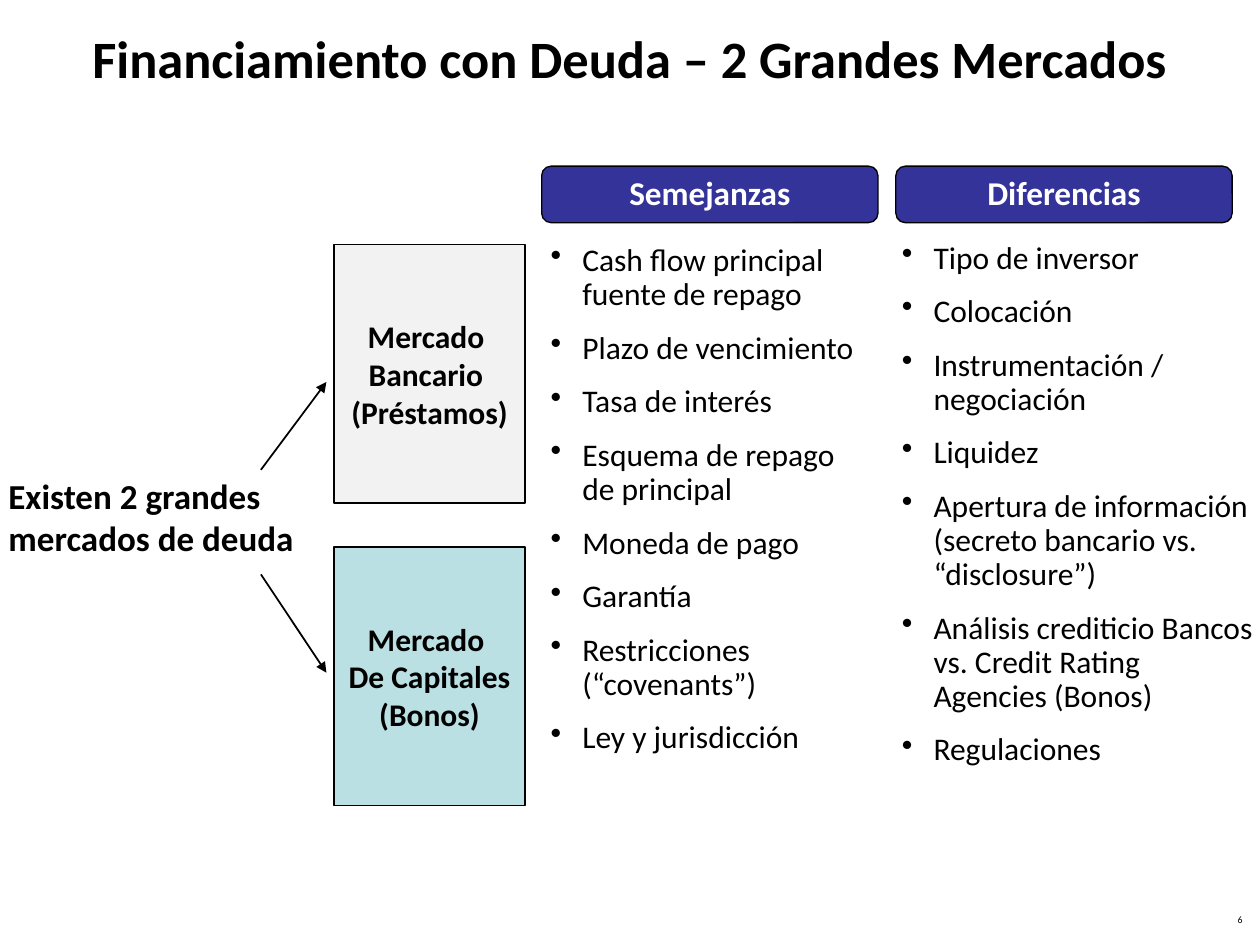
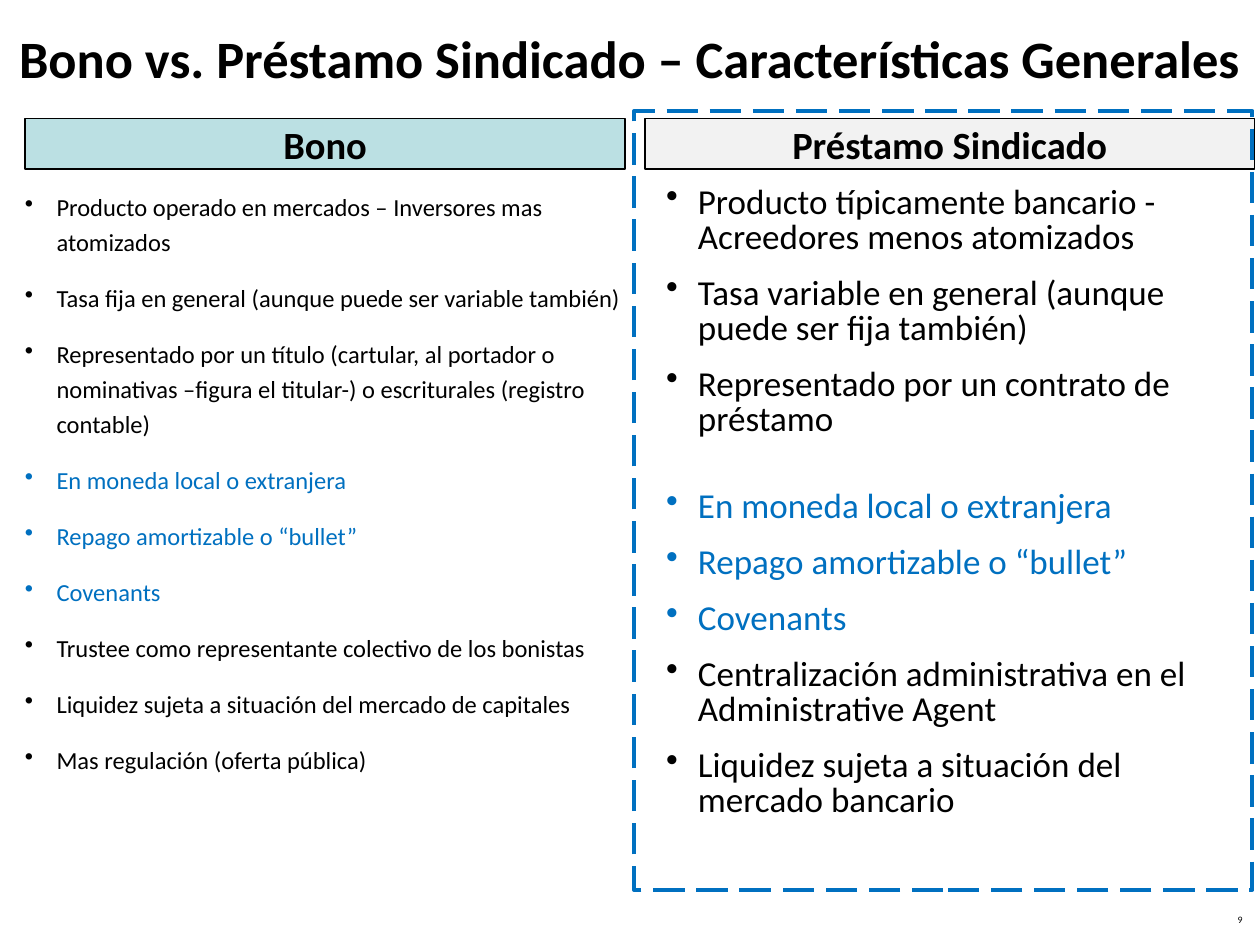
from lxml.etree import SubElement
from pptx import Presentation
from pptx.dml.color import RGBColor
from pptx.enum.dml import MSO_LINE
from pptx.enum.shapes import MSO_CONNECTOR, MSO_SHAPE
from pptx.enum.text import MSO_ANCHOR, MSO_AUTO_SIZE, PP_ALIGN
from pptx.oxml.ns import qn
from pptx.util import Cm, Pt

BLACK = RGBColor(0x00, 0x00, 0x00)
WHITE = RGBColor(0xFF, 0xFF, 0xFF)
BANK_GREY = RGBColor(0xF2, 0xF2, 0xF2)
BOND_TEAL = RGBColor(0xBB, 0xE0, 0xE3)
HEADER_INDIGO = RGBColor(0x33, 0x33, 0x99)
SHARED_BLUE = RGBColor(0x00, 0x70, 0xC0)

FONT = "Calibri"
SLIDE_WIDTH, SLIDE_HEIGHT = 25.4, 19.05
BULLET_INDENT = 0.64

# Slide 1 content
MARKETS_TITLE = "Financiamiento con Deuda – 2 Grandes Mercados"
MARKETS_INTRO = "Existen 2 grandes mercados de deuda"
MARKETS = [
    (["Mercado ", "Bancario ", "(Préstamos)"], BANK_GREY),
    (["Mercado ", "De Capitales", "(Bonos)"], BOND_TEAL),
]
ARROWS = [((5.26, 9.47), (6.58, 7.7)), ((5.26, 11.58), (6.58, 13.56))]
# Header, box of its bullets, bullets
COMPARISONS = [
    ("Semejanzas", (10.85, 4.8, 6.96, 12.4), [
        "Cash flow principal fuente de repago",
        "Plazo de vencimiento",
        "Tasa de interés",
        "Esquema de repago de principal",
        "Moneda de pago",
        "Garantía",
        "Restricciones (“covenants”)",
        "Ley y jurisdicción",
    ]),
    ("Diferencias", (17.93, 4.75, 7.7, 12.4), [
        "Tipo de inversor",
        "Colocación",
        "Instrumentación / negociación",
        "Liquidez",
        "Apertura de información (secreto bancario vs. “disclosure”)",
        "Análisis crediticio Bancos vs. Credit Rating Agencies (Bonos)",
        "Regulaciones",
    ]),
]

# Slide 2 content
INSTRUMENTS_TITLE = "Bono vs. Préstamo Sindicado – Características Generales"
SHARED_TRAITS = ["En moneda local o extranjera", "Repago amortizable o “bullet”", "Covenants"]
INSTRUMENTS = [
    {
        "name": "Bono", "fill": BOND_TEAL, "header": (0.51, 2.39, 12.09, 1.02),
        "body": (0.25, 3.63, 12.83, 11.4), "size": 14, "space_before_shared": 12,
        "before": [
            "Producto operado en mercados – Inversores mas atomizados",
            "Tasa fija en general (aunque puede ser variable también)",
            "Representado por un título (cartular, al portador o nominativas "
            "–figura el titular-) o escriturales (registro contable)",
        ],
        "after": [
            "Trustee como representante colectivo de los bonistas",
            "Liquidez sujeta a situación del mercado de capitales",
            "Mas regulación (oferta pública)",
        ],
    },
    {
        "name": "Préstamo Sindicado", "fill": BANK_GREY, "header": (13, 2.39, 12.29, 1.02),
        "body": (13.18, 3.63, 12.32, 12.95), "size": 20, "space_before_shared": 30,
        "before": [
            "Producto típicamente bancario - Acreedores menos atomizados",
            "Tasa variable en general (aunque puede ser fija también)",
            "Representado por un contrato de préstamo",
        ],
        "after": [
            "Centralización administrativa en el Administrative Agent",
            "Liquidez sujeta a situación del mercado bancario",
        ],
    },
]
LOAN_FRAME = (12.78, 2.24, 12.47, 15.7)


def lengths(box):
    return [Cm(value) for value in box]


def add_run(paragraph, text, size, color=BLACK, bold=False):
    run = paragraph.add_run()
    run.text = text
    run.font.name = FONT
    run.font.size = Pt(size)
    run.font.bold = bold
    run.font.color.rgb = color


def write_lines(frame, lines, size, color=BLACK, bold=True, align=PP_ALIGN.CENTER, spacing=None):
    for index, line in enumerate(lines):
        paragraph = frame.paragraphs[0] if index == 0 else frame.add_paragraph()
        paragraph.alignment = align
        paragraph.line_spacing = spacing
        add_run(paragraph, line, size, color, bold)


def add_text_box(slide, box):
    frame = slide.shapes.add_textbox(*lengths(box)).text_frame
    frame.word_wrap = True
    return frame


def add_box(slide, kind, box, fill, line_color=BLACK, line_width=1):
    """Add a flat outlined shape; a fill of None leaves it hollow."""
    shape = slide.shapes.add_shape(kind, *lengths(box))
    shape.shadow.inherit = False
    if fill is None:
        shape.fill.background()
    else:
        shape.fill.solid()
        shape.fill.fore_color.rgb = fill
    shape.line.color.rgb = line_color
    shape.line.width = Pt(line_width)
    shape.text_frame.vertical_anchor = MSO_ANCHOR.MIDDLE
    shape.text_frame.word_wrap = False
    return shape


def add_arrow(slide, start, end):
    arrow = slide.shapes.add_connector(MSO_CONNECTOR.STRAIGHT, *lengths(start + end))
    arrow.line.color.rgb = BLACK
    arrow.line.width = Pt(1)
    SubElement(arrow.line._get_or_add_ln(), qn("a:tailEnd"), type="triangle")
    SubElement(arrow._element.spPr, qn("a:effectLst"))


def add_bullets(slide, box, items, size, line_spacing):
    """Write items given as (text, colour, points before)."""
    frame = add_text_box(slide, box)
    for index, (text, color, space_before) in enumerate(items):
        paragraph = frame.paragraphs[0] if index == 0 else frame.add_paragraph()
        properties = paragraph._p.get_or_add_pPr()
        properties.set("marL", str(Cm(BULLET_INDENT)))
        properties.set("indent", str(-Cm(BULLET_INDENT)))
        bullet_color = SubElement(properties, qn("a:buClr"))
        SubElement(bullet_color, qn("a:srgbClr"), val=str(color))
        SubElement(properties, qn("a:buChar"), char="•")
        paragraph.line_spacing = line_spacing
        if index > 0:
            paragraph.space_before = Pt(space_before)
        add_run(paragraph, text, size, color)


def add_titled_slide(presentation, title_text, number):
    slide = presentation.slides.add_slide(presentation.slide_layouts[5])
    title = slide.shapes.title
    title.left, title.top, title.width, title.height = lengths((0, 0, SLIDE_WIDTH, 2.31))
    frame = title.text_frame
    frame.margin_left = frame.margin_right = 0
    frame.auto_size = MSO_AUTO_SIZE.NONE
    frame.vertical_anchor = MSO_ANCHOR.MIDDLE
    write_lines(frame, [title_text], 30)
    write_lines(add_text_box(slide, (19.38, 18.34, 5.92, 0.53)), [str(number)], 5.6,
                bold=False, align=PP_ALIGN.RIGHT, spacing=0.8)
    return slide


def build_markets_slide(presentation):
    slide = add_titled_slide(presentation, MARKETS_TITLE, 6)
    for index, (lines, fill) in enumerate(MARKETS):
        box = (6.73, 4.93 + index * 6.1, 3.86, 5.21)
        write_lines(add_box(slide, MSO_SHAPE.RECTANGLE, box, fill).text_frame, lines, 18)
    for start, end in ARROWS:
        add_arrow(slide, start, end)
    write_lines(add_text_box(slide, (-0.08, 9.45, 6.4, 1.96)), [MARKETS_INTRO], 20,
                align=PP_ALIGN.LEFT, spacing=Pt(24))
    for index, (name, body, bullets) in enumerate(COMPARISONS):
        header = add_box(slide, MSO_SHAPE.ROUNDED_RECTANGLE,
                         (10.92 + index * 7.14, 3.35, 6.78, 1.14), HEADER_INDIGO, line_width=0.75)
        write_lines(header.text_frame, [name], 19, WHITE, spacing=0.9)
        add_bullets(slide, body, [(text, BLACK, 11.2) for text in bullets], 18, 0.9)


def build_instruments_slide(presentation):
    slide = add_titled_slide(presentation, INSTRUMENTS_TITLE, 9)
    for instrument in INSTRUMENTS:
        header = add_box(slide, MSO_SHAPE.RECTANGLE, instrument["header"], instrument["fill"])
        write_lines(header.text_frame, [instrument["name"]], 22)
        items = [(text, BLACK, 12) for text in instrument["before"]]
        for index, text in enumerate(SHARED_TRAITS):
            items.append((text, SHARED_BLUE, 12 if index else instrument["space_before_shared"]))
        items += [(text, BLACK, 12) for text in instrument["after"]]
        add_bullets(slide, instrument["body"], items, instrument["size"], Pt(20))
    frame = add_box(slide, MSO_SHAPE.RECTANGLE, LOAN_FRAME, None, SHARED_BLUE, 2.25)
    frame.line.dash_style = MSO_LINE.LONG_DASH


def main():
    presentation = Presentation()
    presentation.slide_width, presentation.slide_height = Cm(SLIDE_WIDTH), Cm(SLIDE_HEIGHT)
    build_markets_slide(presentation)
    build_instruments_slide(presentation)
    presentation.save("out.pptx")


if __name__ == "__main__":
    main()
